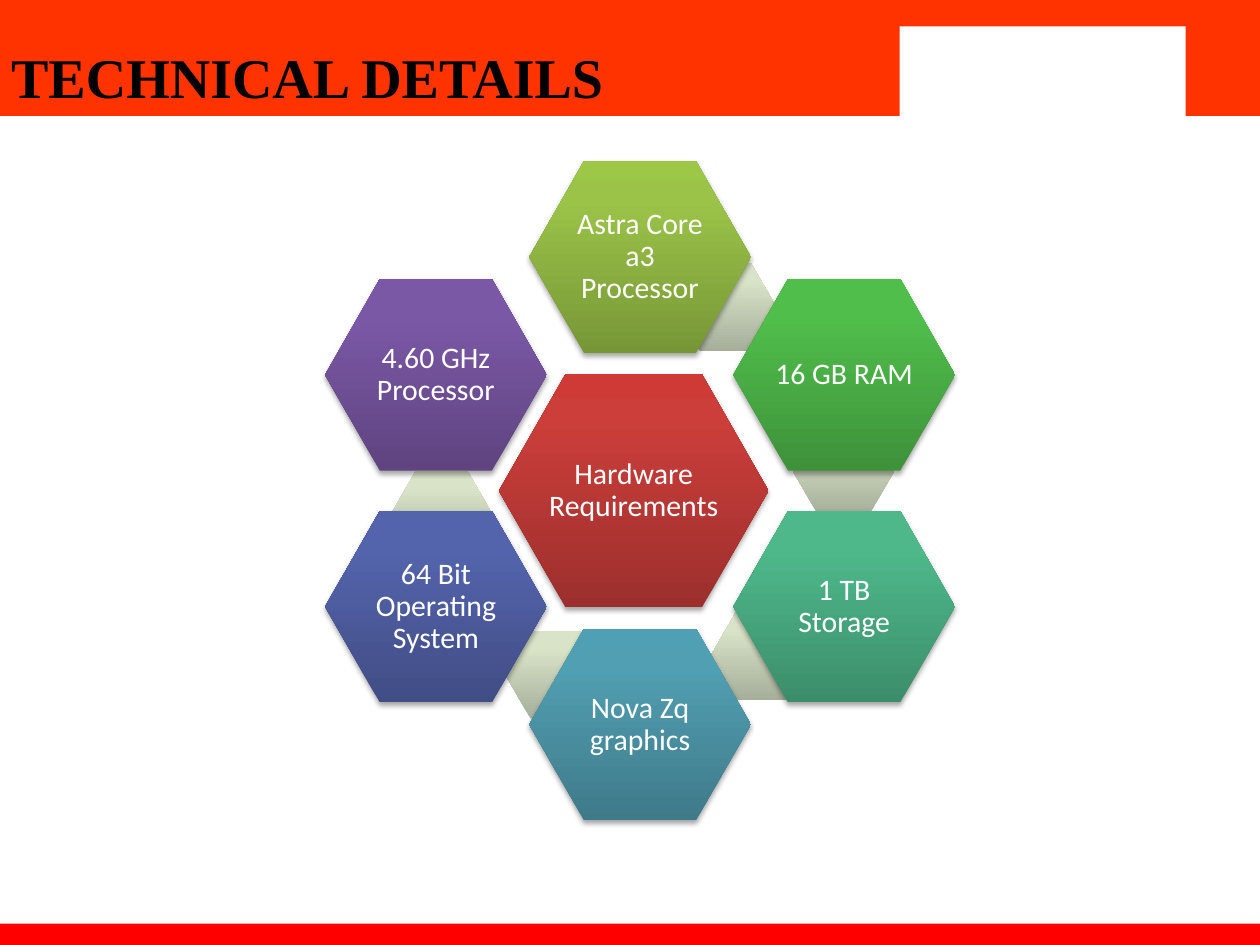
from collections import namedtuple
from copy import deepcopy

from lxml.etree import SubElement
from pptx import Presentation
from pptx.dml.color import RGBColor
from pptx.enum.shapes import MSO_SHAPE as Shape
from pptx.enum.text import MSO_ANCHOR as Anchor, MSO_AUTO_SIZE as AutoSize, PP_ALIGN as Align
from pptx.oxml.ns import qn
from pptx.util import Inches, Pt

Box = namedtuple("Box", "left top width height")
UNIT = Inches(0.1)
COLUMNS, ROWS = 100, 75
COLORS = {"band": "FF3300", "footer": "FF0000", "white": "FFFFFF", "black": "000000"}
GRADIENTS = {
    "red": ("9C2F2D", "CB3E3A", "CE3B37"),
    "lime": ("779737", "9BC348", "9DC746"),
    "green": ("3E923A", "50BE4B", "4FC149"),
    "mint": ("3C8E6B", "4EB88B", "4CBB8C"),
    "teal": ("3F7A89", "519FB2", "50A0B5"),
    "blue": ("414D85", "5464AC", "5363AF"),
    "purple": ("5F4480", "7B58A6", "7C57A8"),
    "link": ("A6AF9A", "D8E3C8", "D9E4C8"),
}
STOPS = (0, 0.8, 1)
HUB_SIZE, HUB_SHIFT = (21.4, 18.5), -0.5
CELL_SIZE, LINK_SIZE = (17.6, 15.2), (8.1, 7)
SIDE, NEAR, FAR = 16.2, 9.2, 18.55
CELLS = [
    ("Astra Core a3 Processor", "lime", 0, -FAR),
    ("16 GB RAM", "green", SIDE, -NEAR),
    ("1 TB Storage", "mint", SIDE, NEAR),
    ("Nova Zq graphics", "teal", 0, FAR),
    ("64 Bit Operating System", "blue", -SIDE, NEAR),
    ("4.60 GHz Processor", "purple", -SIDE, -NEAR),
]
LINKS = [(6.75, -14.6), (16.15, -1.6), (9.65, 13.1), (-6.65, 14.6), (-15.75, 1.9)]


def place(box):
    """Turn grid columns and rows into slide lengths."""
    return [round(value * UNIT) for value in box]


def centred(x, y, size):
    """Return the box of a size centred on a grid point."""
    width, height = size
    return Box(x - width / 2, y - height / 2, width, height)


def add_plain(shapes, kind, box):
    """Add a preset shape without outline or shadow."""
    shape = shapes.add_shape(kind, *place(box))
    shape.shadow.inherit = False
    shape.line.fill.background()
    return shape


def add_rectangle(shapes, box, color):
    """Add a solid rectangle."""
    shape = add_plain(shapes, Shape.RECTANGLE, box)
    shape.fill.solid()
    shape.fill.fore_color.rgb = RGBColor.from_string(COLORS[color])


def add_text(shapes, box, text, size, font="Calibri", color="white", bold=False,
             align=Align.LEFT, anchor=Anchor.TOP, inset=None, spacing=None, after=None,
             auto_size=AutoSize.NONE):
    """Add a wrapped text box with one formatted paragraph."""
    frame = shapes.add_textbox(*place(box)).text_frame
    frame.word_wrap = True
    frame.auto_size = auto_size
    frame.vertical_anchor = anchor
    if inset is not None:
        frame.margin_left = frame.margin_right = inset
        frame.margin_top = frame.margin_bottom = inset
    paragraph = frame.paragraphs[0]
    paragraph.alignment = align
    paragraph.line_spacing = spacing
    paragraph.space_after = after
    run = paragraph.add_run()
    run.text = text
    run.font.name, run.font.size, run.font.bold = font, Pt(size), bold
    run.font.color.rgb = RGBColor.from_string(COLORS[color])


def add_shadow(shape):
    """Give a shape a soft shadow that falls downwards."""
    effects = shape._element.spPr.find(qn("a:effectLst"))
    shadow = SubElement(effects, qn("a:outerShdw"), blurRad=str(Pt(3.1)), dist=str(Pt(1.8)),
                        dir="5400000", rotWithShape="0")
    color = SubElement(shadow, qn("a:srgbClr"), val=COLORS["black"])
    SubElement(color, qn("a:alpha"), val="35000")


def add_hexagon(shapes, box, gradient, adjustment=0.286):
    """Add a hexagon shaded from dark at the bottom to light at the top."""
    shape = add_plain(shapes, Shape.HEXAGON, box)
    shape.adjustments[0] = adjustment
    shape.fill.gradient()
    shape.fill.gradient_angle = 90
    last = shape._element.spPr.findall(".//" + qn("a:gs"))[-1]
    last.addnext(deepcopy(last))
    for stop, position, color in zip(shape.fill.gradient_stops, STOPS, GRADIENTS[gradient]):
        stop.position = position
        stop.color.rgb = RGBColor.from_string(color)
    return shape


def add_cell(shapes, box, text, gradient):
    """Add a shadowed hexagon with its label in the middle two thirds."""
    add_shadow(add_hexagon(shapes, box, gradient))
    label = centred(box.left + box.width / 2, box.top + box.height / 2,
                    (box.width * 0.667, box.height * 0.67))
    add_text(shapes, label, text, 17, align=Align.CENTER, anchor=Anchor.MIDDLE,
             inset=Inches(0.02), spacing=0.9, after=Pt(6))


def add_header(slide, box):
    """Add the title band with its blank panel on the right."""
    add_rectangle(slide.shapes, box, "band")
    panel = slide.shapes.add_group_shape().shapes
    right = box.left + box.width
    add_rectangle(panel, Box(right - 32.8, box.top, 32.8, box.height), "band")
    add_rectangle(panel, Box(right - 28.6, box.top + 2.1, 22.7, 7.5), "white")
    add_text(slide.shapes, Box(box.left - 0.1, box.top + 2.9, 50.4, 6.4), "TECHNICAL DETAILS",
             32, font="Times New Roman", color="black", bold=True,
             auto_size=AutoSize.SHAPE_TO_FIT_TEXT)


def add_diagram(slide, box):
    """Add the hub, its links and the ring of hexagons around the box centre."""
    shapes = slide.shapes.add_group_shape().shapes
    x, y = box.left + box.width / 2, box.top + box.height / 2
    add_cell(shapes, centred(x + HUB_SHIFT, y, HUB_SIZE), "Hardware Requirements", "red")
    for across, down in LINKS:
        add_hexagon(shapes, centred(x + across, y + down, LINK_SIZE), "link", 0.289)
    for text, gradient, across, down in CELLS:
        add_cell(shapes, centred(x + across, y + down, CELL_SIZE), text, gradient)


def main():
    """Build and save the slide."""
    presentation = Presentation()
    presentation.slide_width, presentation.slide_height = COLUMNS * UNIT, ROWS * UNIT
    slide = presentation.slides.add_slide(presentation.slide_layouts[6])
    add_header(slide, Box(0, 0, COLUMNS, 9.2))
    add_rectangle(slide.shapes, Box(0, 73.3, COLUMNS, 2.2), "footer")
    add_diagram(slide, Box(25.8, 12.8, 50, 52.3))
    presentation.save("out.pptx")


if __name__ == "__main__":
    main()
